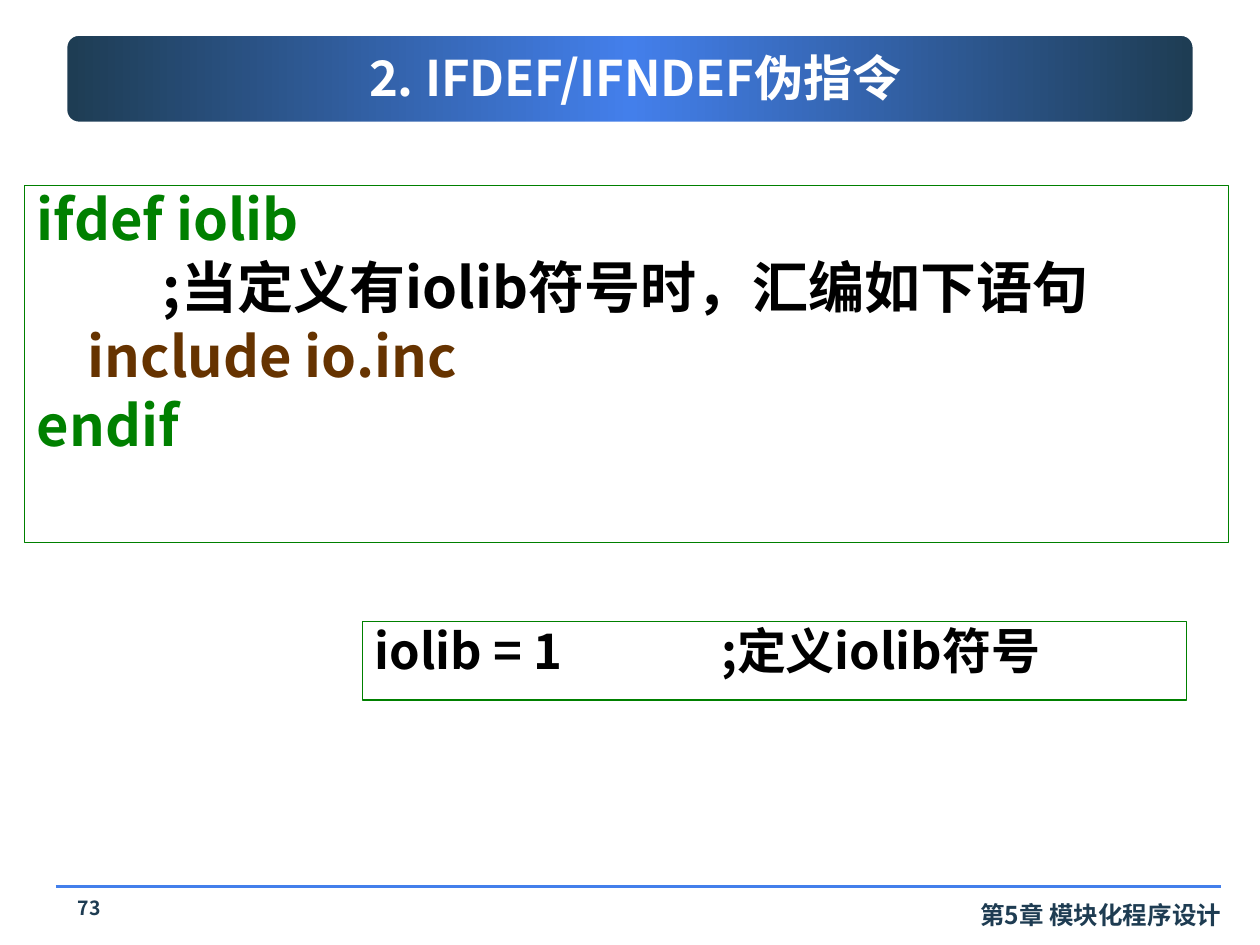
import pptx
import pptx.dml.color
import pptx.enum.shapes
import pptx.enum.text
import pptx.oxml
import pptx.oxml.ns
import pptx.util
from lxml import etree

Pt = pptx.util.Pt
Align = pptx.enum.text.PP_ALIGN
Anchor = pptx.enum.text.MSO_ANCHOR
Shape = pptx.enum.shapes.MSO_SHAPE
qn = pptx.oxml.ns.qn

FONT = "Noto Sans CJK SC"
NAVY = "1E3C52"
BLUE = "437FEB"
GREEN = "008000"
BROWN = "663300"
BLACK = "000000"
WHITE = "FFFFFF"


def color(value):
    return pptx.dml.color.RGBColor.from_string(value)


def place(shape, left, top, width, height):
    shape.left, shape.top = Pt(left), Pt(top)
    shape.width, shape.height = Pt(width), Pt(height)


def write(shape, lines, size, align, anchor=Anchor.TOP, spacing=None, before=0, tab=None):
    frame = shape.text_frame
    frame.word_wrap = True
    frame.auto_size = pptx.enum.text.MSO_AUTO_SIZE.NONE
    frame.vertical_anchor = anchor
    frame.margin_left = frame.margin_right = Pt(7.2)
    frame.margin_top = frame.margin_bottom = Pt(3.6)
    for index, (text, text_color) in enumerate(lines):
        paragraph = frame.add_paragraph() if index else frame.paragraphs[0]
        paragraph.alignment = align
        paragraph.space_before = Pt(before if index else 0)
        if spacing:
            paragraph.line_spacing = spacing
        if tab:
            properties = paragraph._p.get_or_add_pPr()
            tabs = etree.SubElement(properties, qn("a:tabLst"))
            etree.SubElement(tabs, qn("a:tab"), pos=str(Pt(tab)), algn="l")
        run = paragraph.add_run()
        run.text = text
        run.font.size = Pt(size)
        run.font.bold = True
        run.font.name = FONT
        run.font.color.rgb = color(text_color)
        etree.SubElement(run._r.get_or_add_rPr(), qn("a:ea"), typeface=FONT)


def add_banner(slide):
    banner = slide.shapes.add_shape(
        Shape.ROUNDED_RECTANGLE, Pt(36), Pt(18), Pt(648), Pt(54))
    banner.shadow.inherit = False
    banner.line.color.rgb = color(WHITE)
    banner.line.width = Pt(5)
    banner.fill.gradient()
    banner.fill.gradient_angle = 0
    stops = banner._element.spPr.find(qn("a:gradFill")).find(qn("a:gsLst"))
    for stop in list(stops):
        stops.remove(stop)
    for position, value in ((0, NAVY), (50, BLUE), (100, NAVY)):
        stop = etree.SubElement(stops, qn("a:gs"), pos=str(position * 1000))
        etree.SubElement(stop, qn("a:srgbClr"), val=value)


def add_title(slide, text):
    title = slide.shapes.title
    place(title, 48, 20, 630, 48)
    write(title, [(text, WHITE)], 28, Align.CENTER, Anchor.MIDDLE)
    tree = slide.shapes._spTree
    tree.remove(title._element)
    tree.append(title._element)


def add_code_box(slide, bounds, lines, size, tab):
    box = slide.shapes.add_shape(Shape.RECTANGLE, *map(Pt, bounds))
    box.shadow.inherit = False
    box.fill.solid()
    box.fill.fore_color.rgb = color(WHITE)
    box.line.color.rgb = color(GREEN)
    box.line.width = Pt(0.75)
    write(box, lines, size, Align.JUSTIFY, spacing=0.9, before=4.8, tab=tab)


def add_label(slide, bounds, text, size, align, spacing=None):
    label = slide.shapes.add_textbox(*map(Pt, bounds))
    write(label, [(text, NAVY)], size, align, spacing=spacing)


def add_footer_line(slide):
    line = slide.shapes.add_connector(
        pptx.enum.shapes.MSO_CONNECTOR.STRAIGHT, Pt(32), Pt(506.6), Pt(697.5), Pt(506.6))
    line.line.color.rgb = color(BLUE)
    line.line.width = Pt(2)
    etree.SubElement(line._element.spPr, qn("a:effectLst"))


def main():
    presentation = pptx.Presentation()
    presentation.slide_width, presentation.slide_height = Pt(720), Pt(540)
    slide = presentation.slides.add_slide(presentation.slide_layouts[5])
    add_banner(slide)
    add_footer_line(slide)
    add_label(slide, (534, 511, 171, 24.5), "第5章 模块化程序设计", 14, Align.RIGHT)
    add_label(slide, (30, 510, 42, 24), "73", 11.1, Align.CENTER, spacing=0.9)
    add_title(slide, "2. IFDEF/IFNDEF伪指令")
    add_code_box(slide, (14, 106, 688, 204), [
        ("ifdef iolib", GREEN),
        ("\t;当定义有iolib符号时，汇编如下语句", BLACK),
        ("    include io.inc", BROWN),
        ("endif", GREEN),
    ], 32, tab=72)
    add_code_box(slide, (207, 355, 471, 45), [
        ("iolib = 1\t;定义iolib符号", BLACK),
    ], 28, tab=198)
    presentation.save("out.pptx")


if __name__ == "__main__":
    main()
